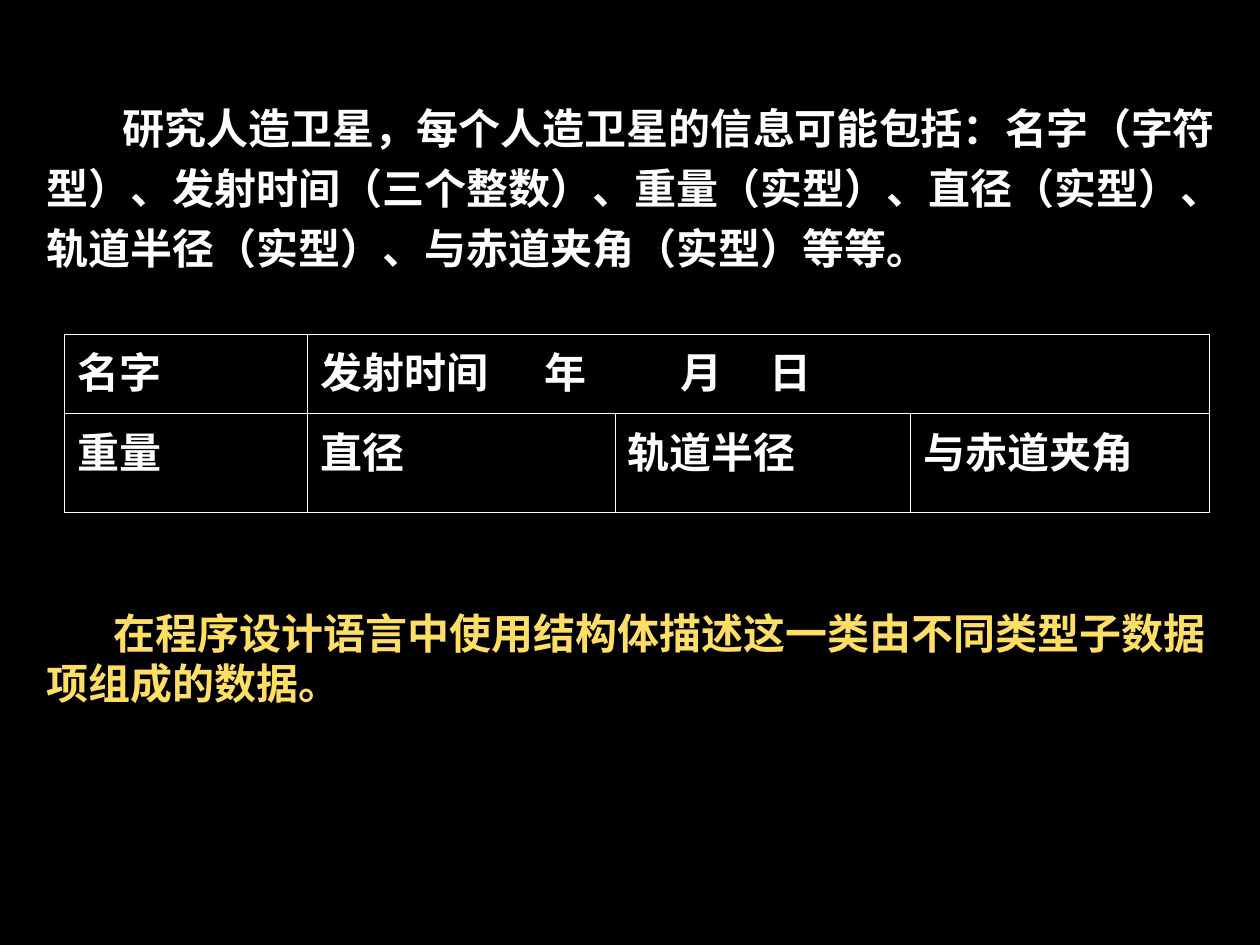
from pptx import Presentation
from pptx.dml.color import RGBColor
from pptx.oxml.ns import qn
from pptx.util import Cm, Pt
from lxml import etree

BLACK = RGBColor(0x00, 0x00, 0x00)
WHITE = RGBColor(0xFF, 0xFF, 0xFF)
YELLOW = RGBColor(0xFF, 0xDE, 0x66)

INTRO = ("研究人造卫星，每个人造卫星的信息可能包括：名字（字符型）、"
         "发射时间（三个整数）、重量（实型）、直径（实型）、"
         "轨道半径（实型）、与赤道夹角（实型）等等。")
CONCLUSION = "在程序设计语言中使用结构体描述这一类由不同类型子数据项组成的数据。"
FIELDS = [
    ["名字", "发射时间\t年\t月\t日"],
    ["重量", "直径", "轨道半径", "与赤道夹角"],
]
DATE_TABS = [4.52, 7.26, 9.05]
COLUMN_WIDTHS = [4.9, 6.2, 5.96, 6.02]
ROW_HEIGHTS = [1.6, 2.0]


def format_font(paragraph, color):
    font = paragraph.font
    font.name, font.size, font.bold = "Arial", Pt(24), True
    font.color.rgb = color
    for run in paragraph.runs:
        run.font.name, run.font.size, run.font.bold = "Arial", Pt(24), True
        run.font.color.rgb = color


def add_text(slide, words, color, box, indent):
    frame = slide.shapes.add_textbox(*map(Cm, box)).text_frame
    frame.word_wrap = True
    frame.text = words
    paragraph = frame.paragraphs[0]
    paragraph._p.get_or_add_pPr().set("indent", str(Cm(indent)))
    format_font(paragraph, color)
    return paragraph


def add_tab_stops(paragraph, positions):
    tab_list = etree.SubElement(paragraph._p.get_or_add_pPr(), qn("a:tabLst"))
    for position in positions:
        etree.SubElement(tab_list, qn("a:tab"), pos=str(Cm(position)), algn="l")


def draw_borders(cell, color, width):
    properties = cell._tc.get_or_add_tcPr()
    for side in ("a:lnL", "a:lnR", "a:lnT", "a:lnB"):
        line = etree.SubElement(properties, qn(side), w=str(width))
        fill = etree.SubElement(line, qn("a:solidFill"))
        etree.SubElement(fill, qn("a:srgbClr"), val=str(color))


def add_fields_table(slide):
    frame = slide.shapes.add_table(
        len(ROW_HEIGHTS), len(COLUMN_WIDTHS), Cm(1.3), Cm(6.73),
        Cm(sum(COLUMN_WIDTHS)), Cm(sum(ROW_HEIGHTS)))
    table = frame.table
    table.first_row = table.horz_banding = False
    for column, width in zip(table.columns, COLUMN_WIDTHS):
        column.width = Cm(width)
    for row, height in zip(table.rows, ROW_HEIGHTS):
        row.height = Cm(height)
    table.cell(0, 1).merge(table.cell(0, 3))
    for cell in table.iter_cells():
        draw_borders(cell, WHITE, Pt(0.45))
        cell.fill.background()
    for row, labels in enumerate(FIELDS):
        for column, label in enumerate(labels):
            paragraph = table.cell(row, column).text_frame.paragraphs[0]
            paragraph.text = label
            if "\t" in label:
                add_tab_stops(paragraph, DATE_TABS)
            format_font(paragraph, WHITE)


def main():
    presentation = Presentation()
    presentation.slide_width, presentation.slide_height = Cm(25.4), Cm(19.05)
    slide = presentation.slides.add_slide(presentation.slide_layouts[6])
    slide.background.fill.solid()
    slide.background.fill.fore_color.rgb = BLACK

    intro = add_text(slide, INTRO, WHITE, (0.69, 1.73, 24.1, 3.91), 1.54)
    intro.line_spacing = 1.2
    intro.space_after = Pt(4.5)
    add_fields_table(slide)
    add_text(slide, CONCLUSION, YELLOW, (0.69, 12.12, 23.9, 2.29), 1.34)
    presentation.save("out.pptx")


if __name__ == "__main__":
    main()
